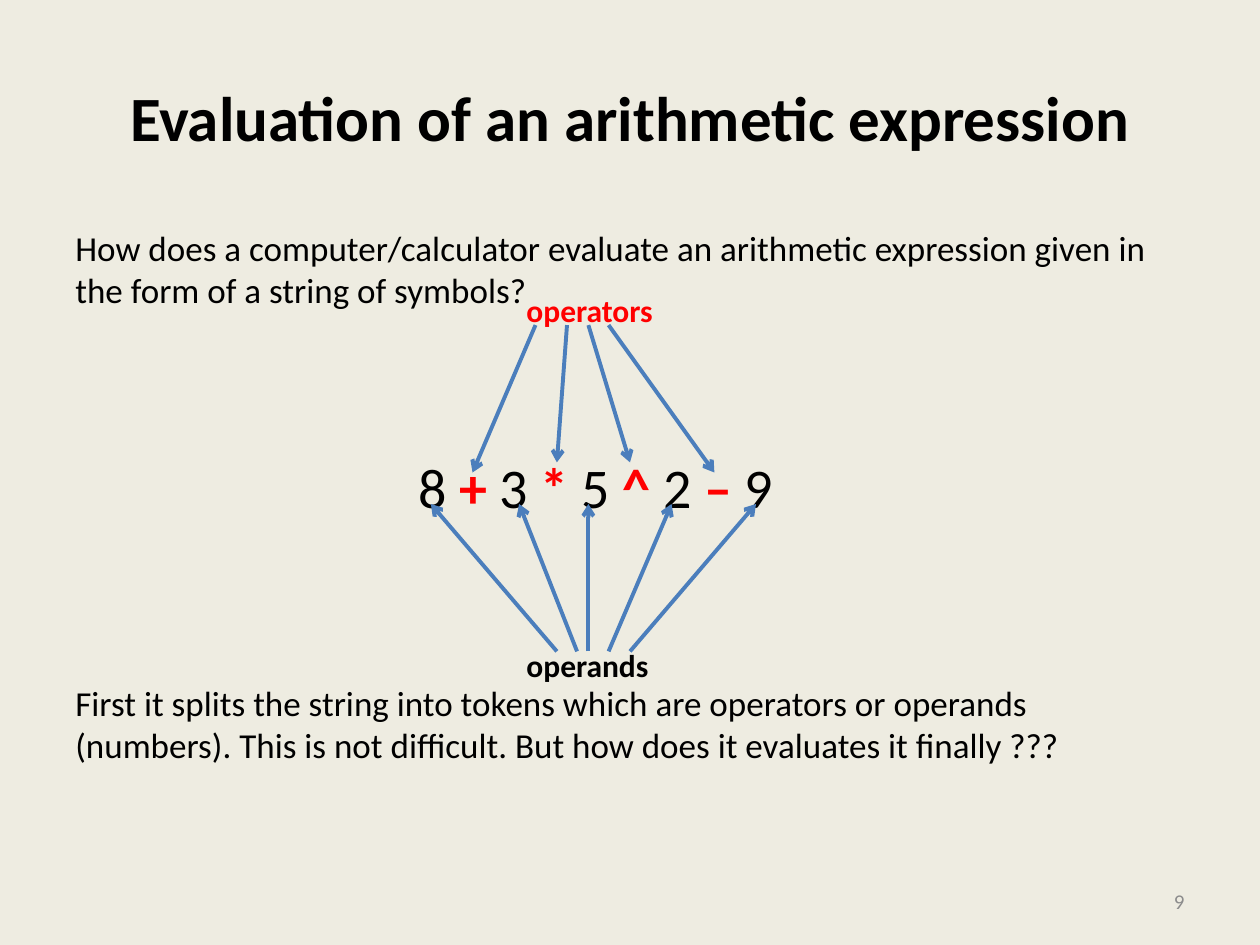
"""Build a slide on splitting an arithmetic expression into operators and operands."""
from lxml import etree
from pptx import Presentation
from pptx.dml.color import RGBColor
from pptx.enum import shapes, text
from pptx.oxml.ns import qn
from pptx.util import Inches, Pt

BACKGROUND = RGBColor(0xEE, 0xEC, 0xE1)
BLACK = RGBColor(0, 0, 0)
RED = RGBColor(0xFF, 0, 0)
BLUE = RGBColor(0x4B, 0x7E, 0xBC)
GRAY = RGBColor(0x8C, 0x8C, 0x8C)


def style(font, size, color=BLACK, bold=False):
    font.name, font.size, font.bold = "Calibri", Pt(size), bold
    font.color.rgb = color


def add_text(s, box, content, size, color=BLACK, bold=False, wrap=True):
    tf = s.shapes.add_textbox(*map(Inches, box)).text_frame
    tf.word_wrap = wrap
    p = tf.paragraphs[0]
    p.text = content
    style(p.font, size, color, bold)
    return p


prs = Presentation()
prs.slide_width, prs.slide_height = Inches(10), Inches(7.5)
s = prs.slides.add_slide(prs.slide_layouts[5])
s.background.fill.solid()
s.background.fill.fore_color.rgb = BACKGROUND

title = s.shapes.title
title.left, title.top, title.width, title.height = map(Inches, (0.5, 0.3, 9, 1.25))
title.text_frame.vertical_anchor = text.MSO_ANCHOR.MIDDLE
p = title.text_frame.paragraphs[0]
p.text = "Evaluation of an arithmetic expression"
p.alignment = text.PP_ALIGN.CENTER
style(p.font, 36, bold=True)

add_text(s, (0.5, 1.75, 9, 0.77),
         "How does a computer/calculator evaluate an arithmetic expression "
         "given in the form of a string of symbols?", 20)
add_text(s, (0.5, 5.36, 9, 0.77),
         "First it splits the string into tokens which are operators or operands "
         "(numbers). This is not difficult. But how does it evaluates it finally ???", 20)

expression = add_text(s, (3.22, 3.54, 3.1, 0.64), "", 32)
for token in ("8 ", "+", " 3 ", "*", " 5 ", "^", " 2 ", "–", " 9"):
    r = expression.add_run()
    r.text = token
    if token in "+*^–":
        style(r.font, 32, RED, True)

add_text(s, (4.08, 5.08, 1.18, 0.4), "operands", 18, bold=True, wrap=False)
add_text(s, (4.08, 2.26, 1.21, 0.4), "operators", 18, RED, True, wrap=False)

operand_arrows = [(x1, 5.17, x2, 4) for x1, x2 in
                  ((4.42, 3.42), (4.58, 4.12), (4.67, 4.67), (4.83, 5.33), (5, 6))]
operator_arrows = [(x1, 2.58, x2, y2) for x1, x2, y2 in
                   ((4.25, 3.75, 3.75), (4.5, 4.42, 3.67), (4.67, 5, 3.67), (4.83, 5.67, 3.75))]
for ends in operand_arrows + operator_arrows:
    arrow = s.shapes.add_connector(shapes.MSO_CONNECTOR.STRAIGHT, *map(Inches, ends))
    arrow.line.color.rgb = BLUE
    arrow.line.width = Pt(2.25)
    etree.SubElement(arrow.line._get_or_add_ln(), qn("a:tailEnd"), type="arrow")
    etree.SubElement(arrow._element.spPr, qn("a:effectLst"))

number = add_text(s, (7.17, 6.95, 2.33, 0.4), "9", 12, GRAY)
number.alignment = text.PP_ALIGN.RIGHT
s.shapes[-1].text_frame.vertical_anchor = text.MSO_ANCHOR.MIDDLE

prs.save("out.pptx")
